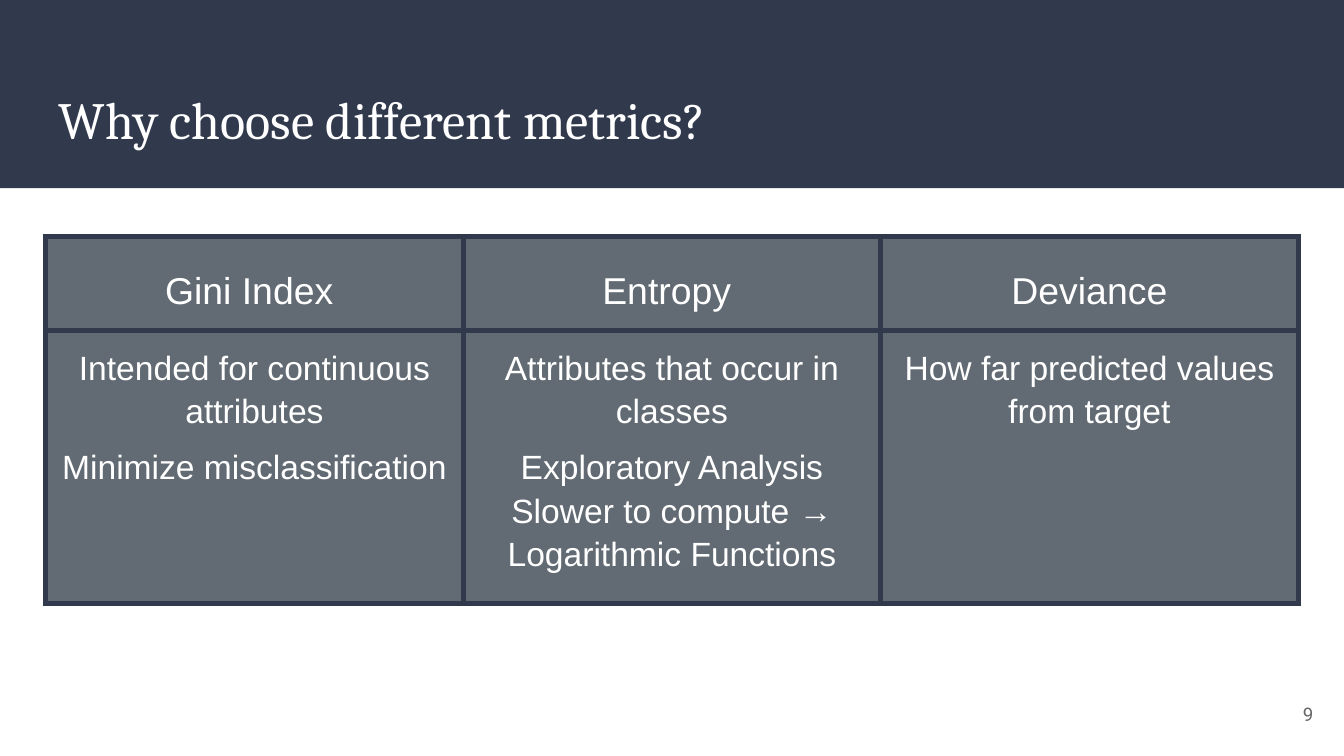
from lxml.etree import SubElement
from pptx import Presentation
from pptx.dml.color import RGBColor as RGB
from pptx.enum.shapes import MSO_SHAPE as SHAPE
from pptx.enum.text import MSO_ANCHOR as ANCHOR, PP_ALIGN as ALIGN
from pptx.oxml.ns import qn
from pptx.util import Inches, Pt

WIDTH = 10
HEIGHT = WIDTH * 9 / 16
MARGIN = 0.34
CONTENT_W = WIDTH - 2 * MARGIN
PAD = Inches(0.1)
COLORS = {
    "navy": "31394D",
    "slate": "626B73",
    "white": "FFFFFF",
    "gray": "666666",
}

# Each metric: heading, then its points as (text, line spacing)
METRICS = [
    ("Gini Index ", [("Intended for continuous attributes", 1.15),
                     ("Minimize misclassification", 1.5)]),
    ("Entropy ", [("Attributes that occur in classes", 1.15),
                  ("Exploratory Analysis", 1.5),
                  ("Slower to compute → Logarithmic Functions", 1.15)]),
    ("Deviance", [("How far predicted values from target", 1.15)]),
]
ROW_HEIGHTS = [0.57, 1.63]
TABLE_H = 3.06


def color(name):
    return RGB.from_string(COLORS[name])


def style(p, size, font, fill, align=ALIGN.LEFT, spacing=None):
    p.font.size = Pt(size)
    p.font.name = font
    p.font.color.rgb = color(fill)
    p.alignment = align
    if spacing:
        p.line_spacing = spacing


def add_band(s, height):
    sp = s.shapes.add_shape(SHAPE.RECTANGLE, 0, 0, Inches(WIDTH), Inches(height))
    sp.shadow.inherit = False
    sp.fill.solid()
    sp.fill.fore_color.rgb = color("navy")
    sp.line.fill.background()


def add_text(s, text, box, anchor, *look):
    tf = s.shapes.add_textbox(*map(Inches, box)).text_frame
    tf.word_wrap = True
    tf.vertical_anchor = anchor
    tf.margin_left = tf.margin_right = tf.margin_top = tf.margin_bottom = PAD
    p = tf.paragraphs[0]
    p.text = text
    style(p, *look)


def add_borders(cell, width):
    props = cell._tc.get_or_add_tcPr()
    for i, side in enumerate(("lnL", "lnR", "lnT", "lnB")):
        ln = SubElement(props, qn(f"a:{side}"), w=str(Pt(width)))
        fill = SubElement(ln, qn("a:solidFill"))
        SubElement(fill, qn("a:srgbClr"), val=COLORS["navy"])
        # Borders come before the cell fill
        props.insert(i, ln)


def fill_cell(cell, points, size):
    cell.margin_left = cell.margin_right = PAD
    cell.margin_top = cell.margin_bottom = PAD
    cell.fill.solid()
    cell.fill.fore_color.rgb = color("slate")
    add_borders(cell, 3)
    tf = cell.text_frame
    for i, (text, spacing) in enumerate(points):
        p = tf.add_paragraph() if i else tf.paragraphs[0]
        p.text = text
        style(p, size, "Arial", "white", ALIGN.CENTER, spacing)


def add_metrics(s, top):
    box = (MARGIN, top, CONTENT_W, TABLE_H)
    frame = s.shapes.add_table(len(ROW_HEIGHTS), len(METRICS), *map(Inches, box))
    table = frame.table
    table.first_row = table.horz_banding = False
    for row, height in zip(table.rows, ROW_HEIGHTS):
        row.height = Inches(height)
    # The frame is taller than its rows, which stretch to fill it
    frame.height = Inches(TABLE_H)
    for col, (heading, points) in enumerate(METRICS):
        fill_cell(table.cell(0, col), [(heading, 1.5)], 20)
        fill_cell(table.cell(1, col), points, 18)


def main():
    prs = Presentation()
    prs.slide_width, prs.slide_height = Inches(WIDTH), Inches(HEIGHT)
    s = prs.slides.add_slide(prs.slide_layouts[6])

    # Header
    add_band(s, 1.4)
    add_text(s, "Why choose different metrics?", (MARGIN, 0.55, CONTENT_W, 0.68),
             ANCHOR.TOP, 28, "Cambria", "white")

    # Comparison of metrics
    add_metrics(s, 1.76)

    # Page number
    add_text(s, "9", (9.27, 5.1, 0.6, 0.43), ANCHOR.MIDDLE,
             10, "Roboto", "gray", ALIGN.RIGHT)

    prs.save("out.pptx")


if __name__ == "__main__":
    main()
